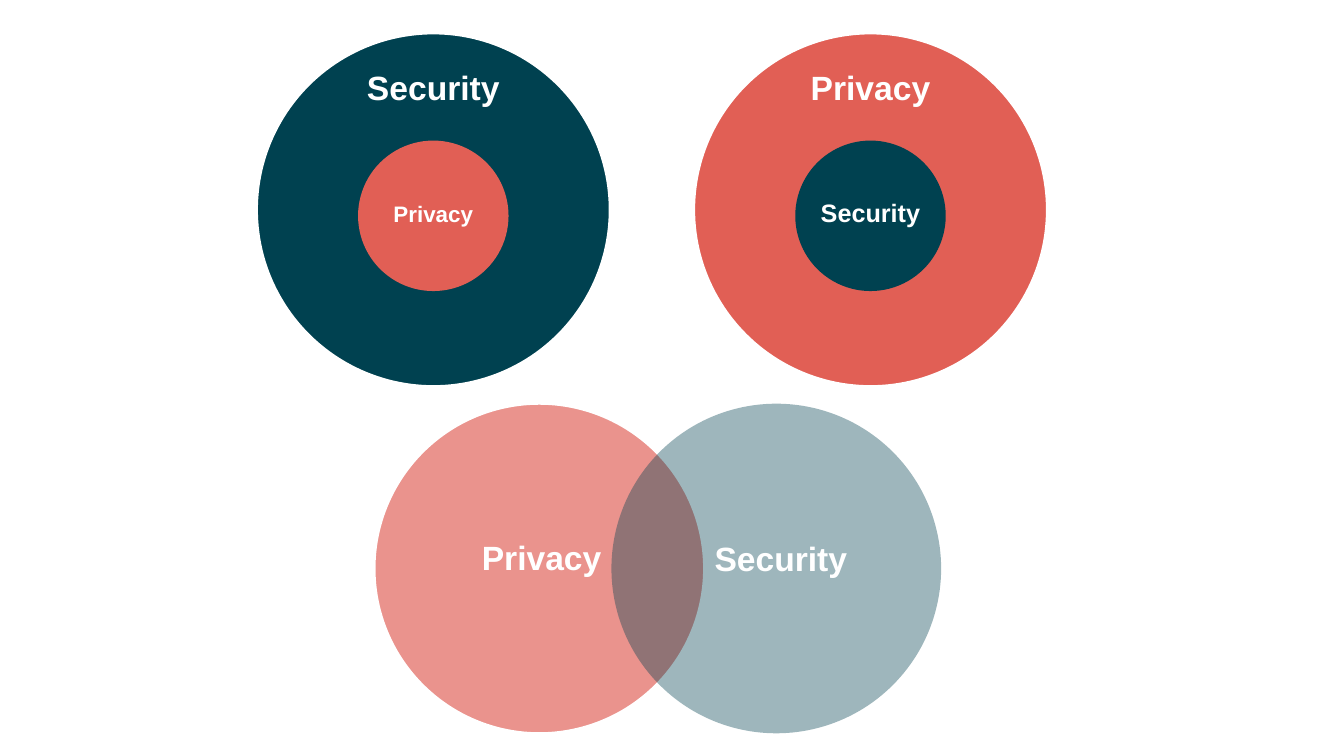
import pptx
import pptx.util
import pptx.dml.color
import pptx.enum.shapes
import pptx.enum.text
from dataclasses import dataclass
from lxml import etree

NESTED = [
    {"x": 32.24, "outer": "Security", "inner": "Privacy", "inner_size": "small", "inner_y": 28.53, "spacing": 0.9},
    {"x": 64.77, "outer": "Privacy", "inner": "Security", "inner_size": "medium", "inner_y": 28.13, "spacing": 1.0},
]
OVERLAP = [
    {"x": 40.13, "label": "Privacy", "label_x": 40.3, "label_y": 73.73, "alpha": 67, "outlined": True},
    {"x": 57.76, "label": "Security", "label_x": 58.1, "label_y": 73.87, "alpha": 38, "outlined": False},
]
ROWS = {"heading": 11.8, "outer": 27.75, "inner": 28.55, "overlap": 75.2}
DIAMETERS = {"outer": 46.67, "inner": 19.9, "overlap": 43.6}
LABEL_BOX = (13.8, 6.67)


@dataclass(frozen=True)
class Theme:
    security: str = "004150"
    privacy: str = "E15F55"
    white: str = "FFFFFF"
    font: str = "Arial"
    large: int = 24
    medium: int = 18
    small: int = 16
    outline: float = 1.5


THEME = Theme()
WIDTH = pptx.util.Inches(13.33)
HEIGHT = pptx.util.Inches(7.5)


def rgb(value):
    return pptx.dml.color.RGBColor.from_string(value)


def centred(x, y, w, h):
    cx, cy = WIDTH * x / 100, HEIGHT * y / 100
    return int(cx - w / 2), int(cy - h / 2), int(w), int(h)


def add_circle(s, topic, x, row, outlined=False, alpha=100):
    size = HEIGHT * DIAMETERS[row] / 100
    sp = s.shapes.add_shape(pptx.enum.shapes.MSO_SHAPE.OVAL, *centred(x, ROWS[row], size, size))
    sp.shadow.inherit = False
    sp.fill.solid()
    sp.fill.fore_color.rgb = rgb(getattr(THEME, topic.lower()))
    if alpha < 100:
        color = sp.element.spPr.find(".//" + pptx.oxml.ns.qn("a:srgbClr"))
        etree.SubElement(color, pptx.oxml.ns.qn("a:alpha"), val=str(alpha * 1000))
    if outlined:
        sp.line.color.rgb = rgb(THEME.white)
        sp.line.width = pptx.util.Pt(THEME.outline)
    else:
        sp.line.fill.background()


def add_label(s, text, x, y, size, spacing=1.0):
    w, h = WIDTH * LABEL_BOX[0] / 100, HEIGHT * LABEL_BOX[1] / 100
    sp = s.shapes.add_textbox(*centred(x, y, w, h))
    tf = sp.text_frame
    tf.word_wrap = True
    tf.vertical_anchor = pptx.enum.text.MSO_ANCHOR.MIDDLE
    p = tf.paragraphs[0]
    p.alignment = pptx.enum.text.PP_ALIGN.CENTER
    p.line_spacing = spacing
    r = p.add_run()
    r.text = text
    r.font.name = THEME.font
    r.font.size = pptx.util.Pt(getattr(THEME, size))
    r.font.bold = True
    r.font.color.rgb = rgb(THEME.white)


def add_nested(s, item):
    x = item["x"]
    add_circle(s, item["outer"], x, "outer", True)
    add_label(s, item["outer"], x, ROWS["heading"], "large", 0.9)
    add_circle(s, item["inner"], x, "inner")
    add_label(s, item["inner"], x, item["inner_y"], item["inner_size"], item["spacing"])


def add_overlap(s):
    for item in OVERLAP:
        add_circle(s, item["label"], item["x"], "overlap", item["outlined"], item["alpha"])
    for item in OVERLAP:
        add_label(s, item["label"], item["label_x"], item["label_y"], "large")


def main():
    prs = pptx.Presentation()
    prs.slide_width, prs.slide_height = WIDTH, HEIGHT
    s = prs.slides.add_slide(prs.slide_layouts[6])
    for item in NESTED:
        add_nested(s, item)
    add_overlap(s)
    prs.save("out.pptx")


if __name__ == "__main__":
    main()
